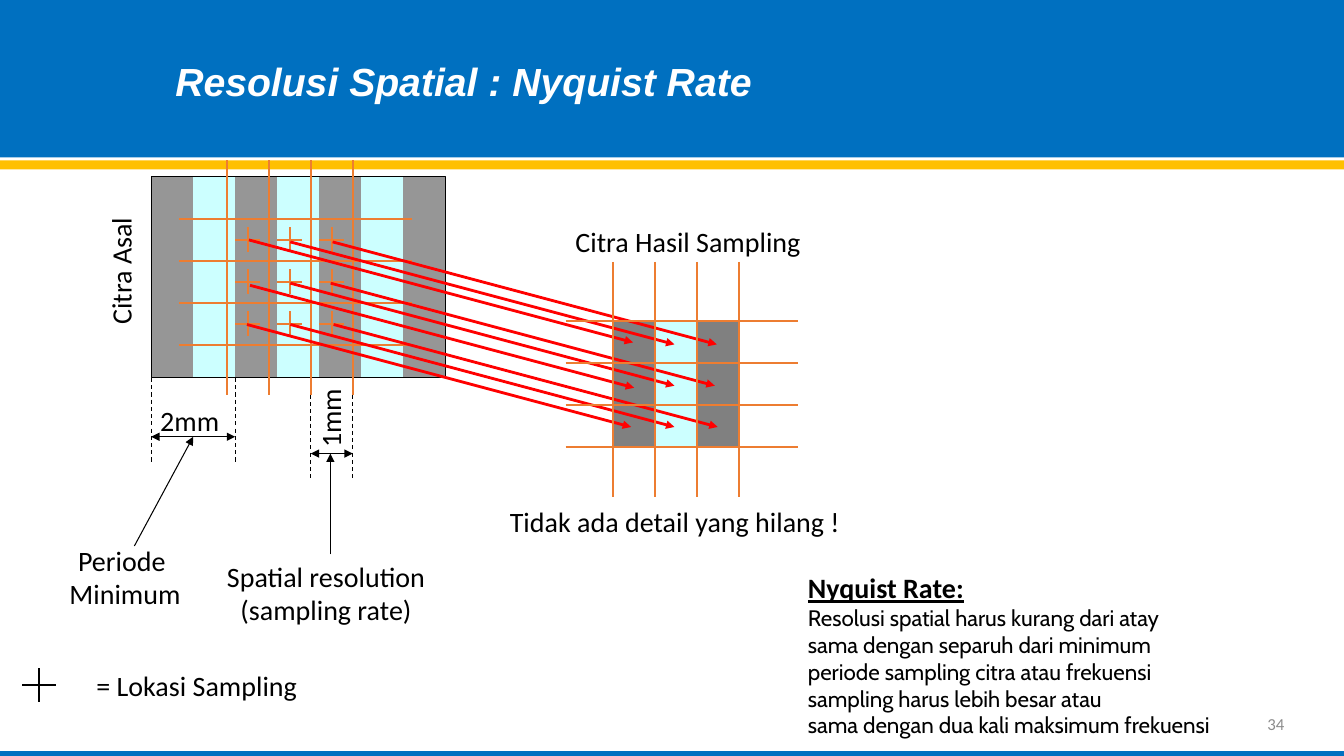
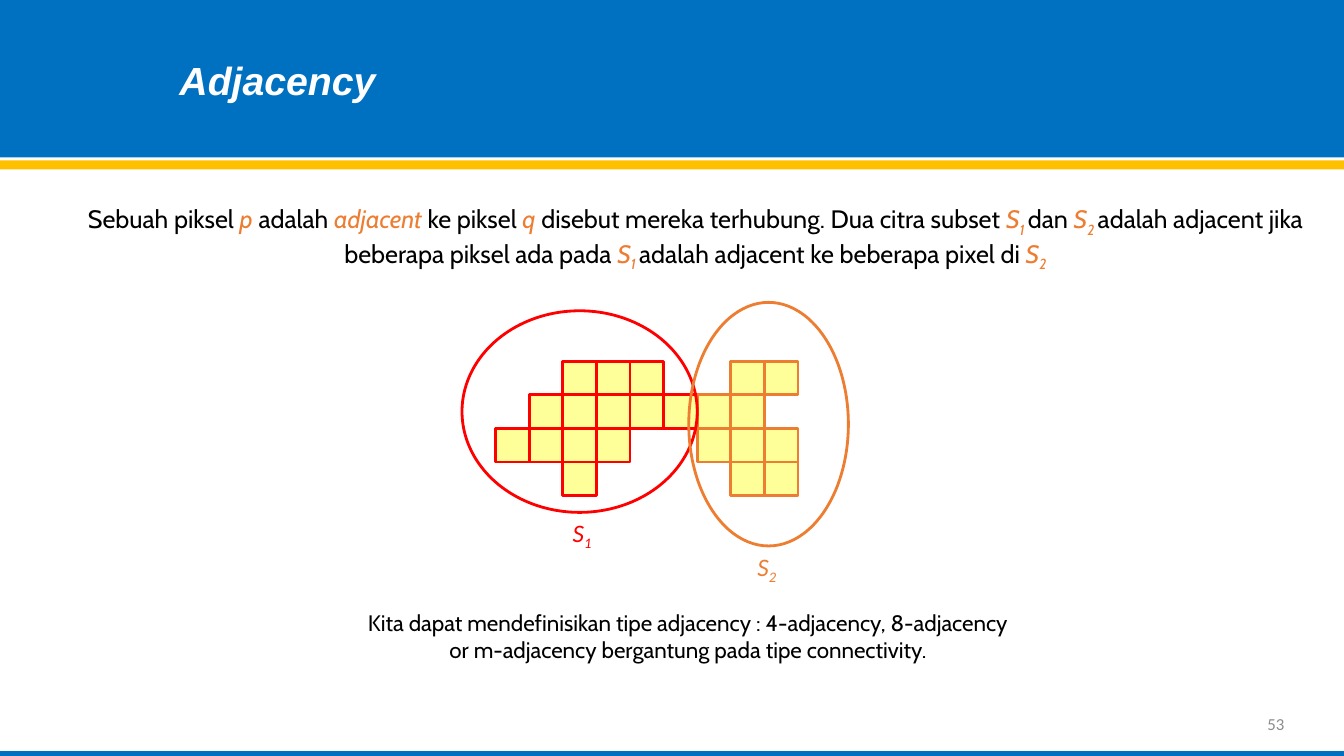
"""Build two lecture slides on spatial resolution and pixel adjacency."""
from dataclasses import dataclass
from itertools import product

from lxml.etree import SubElement
from pptx import Presentation
from pptx.dml.color import RGBColor
from pptx.enum.dml import MSO_LINE
from pptx.enum.shapes import MSO_CONNECTOR, MSO_SHAPE
from pptx.enum.text import MSO_ANCHOR, MSO_AUTO_SIZE, PP_ALIGN
from pptx.oxml.ns import qn
from pptx.presentation import Presentation as Deck
from pptx.shapes.autoshape import Shape
from pptx.slide import Slide
from pptx.text.text import Font
from pptx.util import Pt

HUES = {
    "blue": "0070C0", "gold": "FFC000", "white": "FFFFFF", "black": "000000",
    "stripe": "969696", "grey": "808080", "cyan": "CCFFFF", "pale": "8C8C8C",
    "orange": "ED7D31", "red": "FF0000", "yellow": "FFFF99",
}
LEFT, MID, RIGHT = PP_ALIGN.LEFT, PP_ALIGN.CENTER, PP_ALIGN.RIGHT
CELL = 30
PIXEL = 24


@dataclass(frozen=True)
class Box:
    x: float
    y: float
    w: float
    h: float
    fill: str = ""
    edge: str = ""
    width: float = 0.75
    kind: MSO_SHAPE = MSO_SHAPE.RECTANGLE


@dataclass(frozen=True)
class Line:
    x: float
    y: float
    to_x: float
    to_y: float
    hue: str = "black"
    width: float = 0.75
    ends: tuple[str, ...] = ()
    dash: bool = False


@dataclass(frozen=True)
class Run:
    text: str
    hue: str = "black"
    slant: bool = False
    sub: bool = False


@dataclass(frozen=True)
class Label:
    x: float
    y: float
    w: float
    h: float
    lines: tuple[str | tuple[Run, ...], ...]
    size: float = 20
    face: str = "Calibri"
    hue: str = "black"
    align: PP_ALIGN = MID
    turn: float = 0
    wrap: bool = False


BANDS = (
    Box(0, 0, 960, 112.5, "blue"),
    Box(0, 114.5, 960, 6.5, "gold"),
    Box(0, 536.5, 960, 3.5, "blue"),
)


def shade(name: str) -> RGBColor:
    """Look up a named colour."""
    return RGBColor.from_string(HUES[name])


def style(font: Font, size: float, face: str, hue: str) -> None:
    """Set size, typeface and colour of a font."""
    font.size, font.name = Pt(size), face
    font.color.rgb = shade(hue)


def draw_box(slide: Slide, box: Box) -> Shape:
    """Draw a filled or outlined shape."""
    shape = slide.shapes.add_shape(
        box.kind, Pt(box.x), Pt(box.y), Pt(box.w), Pt(box.h))
    shape.shadow.inherit = False
    if box.fill:
        shape.fill.solid()
        shape.fill.fore_color.rgb = shade(box.fill)
    else:
        shape.fill.background()
    if box.edge:
        shape.line.color.rgb = shade(box.edge)
        shape.line.width = Pt(box.width)
    else:
        shape.line.fill.background()
    return shape


def draw_line(slide: Slide, line: Line) -> None:
    """Draw a straight line with optional dashes and arrowheads."""
    link = slide.shapes.add_connector(
        MSO_CONNECTOR.STRAIGHT, Pt(line.x), Pt(line.y), Pt(line.to_x), Pt(line.to_y))
    link.line.color.rgb = shade(line.hue)
    link.line.width = Pt(line.width)
    if line.dash:
        link.line.dash_style = MSO_LINE.DASH
    for end in line.ends:
        SubElement(link.get_or_add_ln(), qn(f"a:{end}End"), type="triangle")
    SubElement(link.element.spPr, qn("a:effectLst"))


def draw_label(slide: Slide, label: Label) -> Shape:
    """Draw a text box of plain or mixed lines."""
    shape = slide.shapes.add_textbox(
        Pt(label.x), Pt(label.y), Pt(label.w), Pt(label.h))
    shape.rotation = label.turn
    frame = shape.text_frame
    frame.word_wrap = label.wrap
    frame.auto_size = MSO_AUTO_SIZE.SHAPE_TO_FIT_TEXT
    for i, line in enumerate(label.lines):
        para = frame.paragraphs[0] if i == 0 else frame.add_paragraph()
        para.alignment = label.align
        style(para.font, label.size, label.face, label.hue)
        if isinstance(line, str):
            para.add_run().text = line
            continue
        for part in line:
            run = para.add_run()
            run.text = part.text
            run.font.color.rgb = shade(part.hue)
            run.font.italic = part.slant
            if part.sub:
                run._r.get_or_add_rPr().set("baseline", "-25000")
    return shape


def draw_cross(slide: Slide, x: float, y: float, arm: float, hue: str) -> None:
    """Draw a sampling mark centred on a point."""
    draw_line(slide, Line(x, y - arm, x, y + arm, hue, 1.5))
    draw_line(slide, Line(x - arm, y, x + arm, y, hue, 1.5))


def draw_grid(slide: Slide, x: float, y: float) -> None:
    """Draw the four by four grid lines around nine cells."""
    for step in range(0, 4 * CELL, CELL):
        draw_line(slide, Line(x - 34, y + step, x + 132, y + step, "orange", 1.5))
        draw_line(slide, Line(x + step, y - 42, x + step, y + 126, "orange", 1.5))


def draw_span(slide: Slide, x: float, to_x: float, top: float) -> None:
    """Draw a measured width between two dashed lines."""
    for side in (x, to_x):
        draw_line(slide, Line(side, top, side, top + 60, dash=True))
    draw_line(slide, Line(x, top + 42, to_x, top + 42, ends=("head", "tail")))


def add_bands(deck: Deck, slide: Slide) -> None:
    """Move the shared bands to the title-only layout."""
    tree = deck.slide_layouts[5].shapes.element
    for i, band in enumerate(BANDS):
        item = draw_box(slide, band).element
        item.nvSpPr.cNvPr.set("id", str(101 + i))
        tree.append(item)


def add_page(deck: Deck, text: str, place: Box, number: str) -> Slide:
    """Add a slide with its title and page number."""
    slide = deck.slides.add_slide(deck.slide_layouts[5])
    title = slide.shapes.title
    title.left, title.top = Pt(place.x), Pt(place.y)
    title.width, title.height = Pt(place.w), Pt(place.h)
    frame = title.text_frame
    frame.text = text
    frame.word_wrap = False
    frame.auto_size = MSO_AUTO_SIZE.SHAPE_TO_FIT_TEXT
    frame.vertical_anchor = MSO_ANCHOR.TOP
    para = frame.paragraphs[0]
    para.alignment = LEFT
    style(para.font, 28, "Arial", "white")
    para.font.bold = para.font.italic = True
    page = draw_label(slide, Label(708.5, 502.5, 216, 28.8, (number,), 12,
                                   hue="pale", align=RIGHT, wrap=True))
    page.text_frame.auto_size = MSO_AUTO_SIZE.NONE
    page.text_frame.vertical_anchor = MSO_ANCHOR.MIDDLE
    return slide


def draw_rate(slide: Slide) -> None:
    """Draw the Nyquist rate example."""
    for i in range(7):
        hue = "cyan" if i % 2 else "stripe"
        draw_box(slide, Box(108 + i * CELL, 126, CELL, 144, hue))
    draw_box(slide, Box(108, 126, 7 * CELL, 144, edge="black"))
    draw_grid(slide, 162, 156.3)
    for row, col in product(range(3), repeat=2):
        draw_cross(slide, 177 + col * CELL, 171.3 + row * CELL, 9, "orange")
        hue = "cyan" if col == 1 else "grey"
        draw_box(slide, Box(438 + col * CELL, 229 + row * CELL, CELL, CELL, hue))
    draw_cross(slide, 28, 489.5, 12, "black")

    draw_span(slide, 222, 252, 282)
    draw_span(slide, 108, 168, 270)
    draw_line(slide, Line(96, 390, 138, 312, ends=("tail",)))
    draw_line(slide, Line(236, 396, 236, 324, ends=("tail",)))
    starts = (
        (177.8, 171.4), (207.4, 172.8), (237.6, 172.8),
        (236.2, 202.3), (207.4, 202.3), (178.6, 203.8),
        (238.3, 231.8), (207.4, 231.8), (176.4, 231.8),
    )
    for x, y in starts:
        draw_line(slide, Line(x, y, x + 274.4, y + 73.2, "red", 2, ("tail",)))
    draw_grid(slide, 438, 229)

    labels = (
        Label(40.5, 178, 91.5, 31.5, ("Citra Asal",), turn=270),
        Label(61, 474, 159, 31.5, ("= Lokasi Sampling",)),
        Label(41.8, 384.5, 95, 55.5, ("Periode ", "Minimum")),
        Label(154, 396, 157.7, 55.5, ("Spatial resolution", "(sampling rate)")),
        Label(403, 157, 177, 31.5, ("Citra Hasil Sampling",)),
        Label(355.7, 356.5, 252.7, 31.5, ("Tidak ada detail yang hilang !",)),
        Label(107, 284.5, 57, 31.5, ("2mm",)),
        Label(207.4, 283, 57, 31.5, ("1mm",), turn=270),
    )
    for label in labels:
        draw_label(slide, label)
    note = draw_label(slide, Label(570, 404, 370, 128, (
        "Nyquist Rate:",
        "Resolusi spatial harus kurang dari atay",
        "sama dengan separuh dari minimum",
        "periode sampling citra atau frekuensi",
        "sampling harus lebih besar atau",
        "sama dengan dua kali maksimum frekuensi",
    ), 16, "Cabin", align=LEFT))
    head = note.text_frame.paragraphs[0].font
    style(head, 20, "Calibri", "black")
    head.bold = head.underline = True


def subset(digit: str, hue: str = "orange") -> tuple[Run, Run]:
    """Make the runs of a subset name with its index."""
    return Run("S", hue, True), Run(digit, hue, True, True)


def draw_sets(slide: Slide) -> None:
    """Draw the two adjacent pixel subsets."""
    draw_label(slide, Label(44.6, 142, 904.3, 51, ((
        Run("Sebuah piksel "), Run("p ", "orange", True),
        Run("adalah "), Run("adjacent ", "orange", True),
        Run("ke piksel "), Run("q ", "orange", True),
        Run("disebut mereka terhubung. Dua citra subset "), *subset("1 "),
        Run("dan "), *subset("2 "),
        Run("adalah adjacent jika beberapa piksel ada pada "), *subset("1 "),
        Run("adalah adjacent ke beberapa pixel di "), *subset("2"),
    ),), 18, "Cabin", wrap=True))
    hues = {"1": "red", "2": "orange"}
    rows = ("..111..22", ".1111122.", "1111..222", "..1....22")
    for row, marks in enumerate(rows):
        for col, mark in enumerate(marks):
            if mark in hues:
                draw_box(slide, Box(354 + col * PIXEL, 258 + row * PIXEL,
                                    PIXEL, PIXEL, "yellow", hues[mark], 2))
    rings = (
        Box(330, 222, 168, 144, "", "red", 2, MSO_SHAPE.OVAL),
        Box(492, 216, 114, 174, "", "orange", 2, MSO_SHAPE.OVAL),
    )
    for ring in rings:
        draw_box(slide, ring)
    for digit, x, y in (("1", 402, 366), ("2", 534, 390)):
        draw_label(slide, Label(x, y, 28.8, 28.8, (subset(digit, hues[digit]),),
                                18, align=LEFT))
    draw_label(slide, Label(196.6, 431.3, 589.7, 46, (
        "Kita dapat mendefinisikan tipe adjacency : 4-adjacency, 8-adjacency",
        "or m-adjacency bergantung pada tipe connectivity.",
    ), 16, "Cabin"))


def main() -> None:
    """Build and save the deck."""
    deck = Presentation()
    deck.slide_width, deck.slide_height = Pt(960), Pt(540)
    rate = add_page(deck, "Resolusi Spatial : Nyquist Rate",
                    Box(118, 37.5, 431, 41), "34")
    add_bands(deck, rate)
    draw_rate(rate)
    draw_sets(add_page(deck, "Adjacency", Box(121, 36.7, 156, 41), "53"))
    deck.save("out.pptx")


if __name__ == "__main__":
    main()
